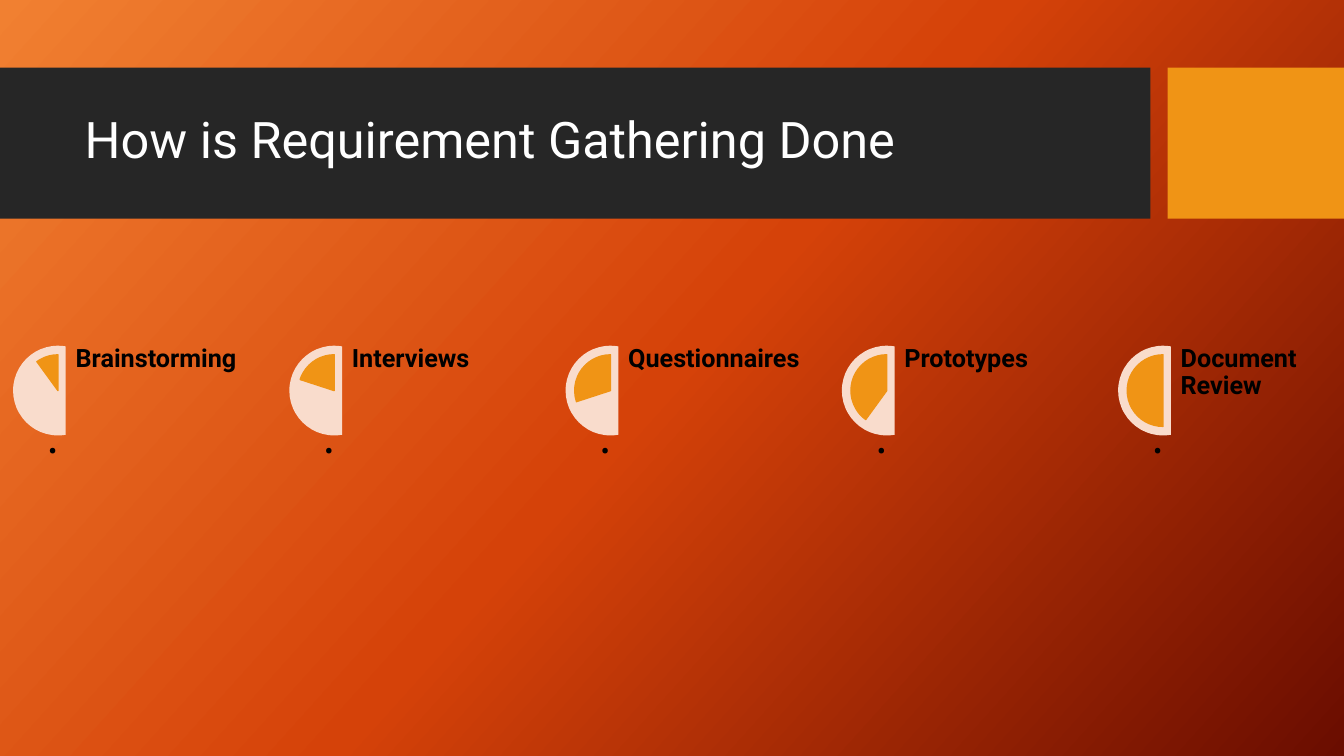
from copy import deepcopy

from pptx import Presentation
from pptx.dml.color import RGBColor
from pptx.enum.shapes import MSO_SHAPE
from pptx.enum.text import MSO_ANCHOR, MSO_AUTO_SIZE, PP_ALIGN
from pptx.oxml.ns import qn
from pptx.util import Inches, Pt

RECTANGLE, CHORD, PIE = MSO_SHAPE.RECTANGLE, MSO_SHAPE.CHORD, MSO_SHAPE.PIE
TOP, MIDDLE, BOTTOM = MSO_ANCHOR.TOP, MSO_ANCHOR.MIDDLE, MSO_ANCHOR.BOTTOM
LEFT, RIGHT = PP_ALIGN.LEFT, PP_ALIGN.RIGHT
NO_AUTOFIT = MSO_AUTO_SIZE.NONE

BLACK = RGBColor(0x00, 0x00, 0x00)
WHITE = RGBColor(0xFF, 0xFF, 0xFF)
CHARCOAL = RGBColor(0x26, 0x26, 0x26)
AMBER = RGBColor(0xF0, 0x94, 0x15)
PEACH = RGBColor(0xF9, 0xDC, 0xCC)
GRADIENT = [
    (0, RGBColor(0xF1, 0x80, 0x31)),
    (0.5, RGBColor(0xD5, 0x42, 0x09)),
    (1, RGBColor(0x6A, 0x0D, 0x00)),
]

FONT = "Roboto"
SLIDE_WIDTH, SLIDE_HEIGHT = 13.33, 7.5
BAND_TOP, BAND_HEIGHT = 0.67, 1.5
COLUMN_LEFT, COLUMN_PITCH = 0.13, 2.74
ROW_TOP = 3.43
DIAL_SIZE, DIAL_MARGIN = 0.89, 0.09
WEDGE_SIZE = DIAL_SIZE - 2 * DIAL_MARGIN
DEGREE = 0.6  # adjustment units per degree of arc
METHODS = ["Brainstorming", "Interviews", "Questionnaires", "Prototypes", "Document Review"]


def add_filled_shape(kind, left, top, width, height, color, angles=()):
    """Draw a borderless shape; angles are the arc's start and end in degrees."""
    shape = slide.shapes.add_shape(
        kind, Inches(left), Inches(top), Inches(width), Inches(height))
    shape.shadow.inherit = False
    shape.fill.solid()
    shape.fill.fore_color.rgb = color
    shape.line.fill.background()
    for index, angle in enumerate(angles):
        shape.adjustments[index] = angle * DEGREE
    return shape


def write_text(shape, text, *, box, size, color=BLACK, bold=False,
               align=LEFT, anchor=TOP, inset=0, rotation=0):
    shape.left, shape.top, shape.width, shape.height = map(Inches, box)
    shape.rotation = rotation
    frame = shape.text_frame
    frame.word_wrap = True
    frame.auto_size = NO_AUTOFIT
    frame.vertical_anchor = anchor
    frame.margin_left = frame.margin_right = Inches(inset)
    frame.margin_top = frame.margin_bottom = Inches(inset / 2)
    paragraph = frame.paragraphs[0]
    paragraph.alignment = align
    paragraph.line_spacing = 0.9
    run = paragraph.add_run()
    run.text = text
    run.font.name = FONT
    run.font.size = Pt(size)
    run.font.bold = bold
    run.font.color.rgb = color


presentation = Presentation()
presentation.slide_width = Inches(SLIDE_WIDTH)
presentation.slide_height = Inches(SLIDE_HEIGHT)
slide = presentation.slides.add_slide(presentation.slide_layouts.get_by_name("Title Only"))

# Background: diagonal gradient with a middle stop
background = slide.background.fill
background.gradient()
background.gradient_angle = 360 - 42
stop_list = slide.element.find(".//" + qn("a:gsLst"))
stop_list.append(deepcopy(stop_list[0]))
for stop, (position, color) in zip(background.gradient_stops, GRADIENT):
    stop.position = position
    stop.color.rgb = color

# Title band, with the title in front of it
title = slide.shapes.title
for left, width, color in [(0, 11.41, CHARCOAL), (11.58, 1.75, AMBER)]:
    band = add_filled_shape(RECTANGLE, left, BAND_TOP, width, BAND_HEIGHT, color)
    title.element.addprevious(band.element)
write_text(title, "How is Requirement Gathering Done", box=(0.74, 0.82, 10.51, 1.18),
           size=36, color=WHITE, anchor=MIDDLE, inset=0.1)

# One half dial per method, each filled a fifth further than the last
for index, method in enumerate(METHODS):
    left = COLUMN_LEFT + index * COLUMN_PITCH
    add_filled_shape(CHORD, left, ROW_TOP, DIAL_SIZE, DIAL_SIZE, PEACH, (80, 280))
    wedge_start = 270 - 180 * (index + 1) / len(METHODS)
    wedge = add_filled_shape(PIE, left + DIAL_MARGIN, ROW_TOP + DIAL_MARGIN,
                             WEDGE_SIZE, WEDGE_SIZE, AMBER, (wedge_start, 270))
    wedge.line.color.rgb = AMBER
    wedge.line.width = Pt(1)
    write_text(slide.shapes.add_textbox(0, 0, 0, 0), ".",
               box=(left - 1.03, 5.43, 2.58, 0.53), size=36,
               align=RIGHT, anchor=BOTTOM, rotation=270)
    write_text(slide.shapes.add_textbox(0, 0, 0, 0), method,
               box=(left + 0.62, ROW_TOP, 1.78, 3.55), size=18, bold=True)

presentation.save("out.pptx")
